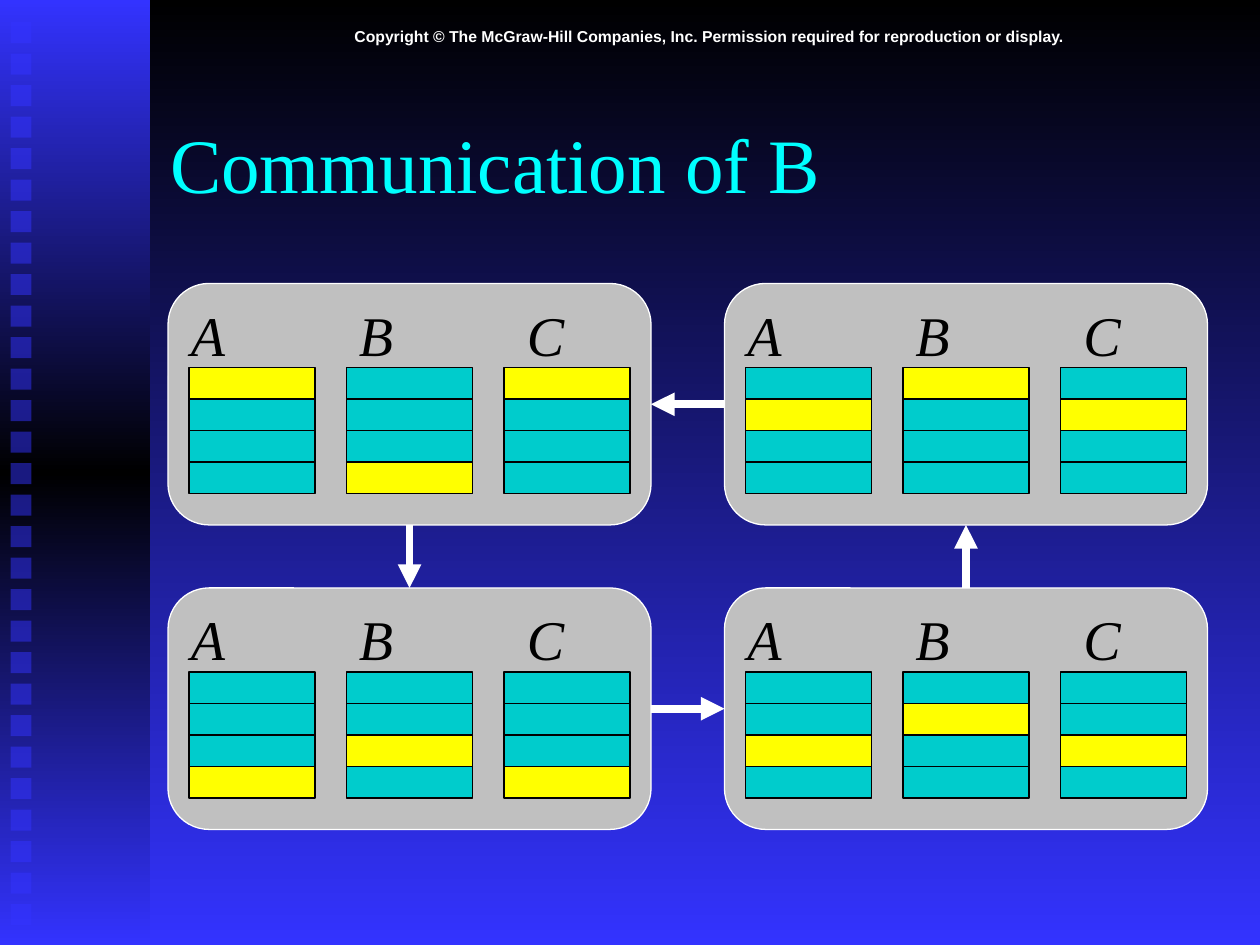
import copy
import dataclasses
import pptx
import pptx.dml.color
import pptx.enum.shapes
import pptx.enum.text
import pptx.oxml.ns
import pptx.util
from lxml import etree

SHAPE = pptx.enum.shapes.MSO_SHAPE
ALIGN = pptx.enum.text.PP_ALIGN
ANCHOR = pptx.enum.text.MSO_ANCHOR
FIT = pptx.enum.text.MSO_AUTO_SIZE

COLS, ROWS = 120, 90
PARTS = 4
RING = [(0, 0), (1, 0), (1, 1), (0, 1)]
SIDES = [(2, 0), (1, 3), (0, 2), (3, 1)]


@dataclasses.dataclass(frozen=True)
class Theme:
    black: str = "000000"
    white: str = "FFFFFF"
    blue: str = "3333FF"
    cyan: str = "00FFFF"
    teal: str = "00CCCC"
    yellow: str = "FFFF00"
    grey: str = "C0C0C0"
    serif: str = "Times New Roman"
    sans: str = "Arial"
    title: float = 44
    label: float = 32
    note: float = 9
    thin: float = 0.75
    thick: float = 4.5


THEME = Theme()


def unit(count):
    return pptx.util.Inches(count * 10 / COLS)


def rgb(code):
    return pptx.dml.color.RGBColor.from_string(code)


def tag(name):
    return pptx.oxml.ns.qn(name)


def put(frame, text, size, color, font=THEME.serif, bold=False,
        italic=False, align=ALIGN.LEFT, anchor=ANCHOR.TOP, wrap=True, fit=FIT.NONE):
    frame.word_wrap = wrap
    frame.auto_size = fit
    frame.vertical_anchor = anchor
    para = frame.paragraphs[0]
    para.alignment = align
    run = para.add_run()
    run.text = text
    run.font.size = pptx.util.Pt(size)
    run.font.name = font
    run.font.color.rgb = rgb(color)
    run.font.bold = bold
    run.font.italic = italic


def blend(fill, colors):
    fill.gradient()
    fill.gradient_angle = 270
    stops = fill.gradient_stops
    first = stops[0]._gs
    for _ in colors[2:]:
        first.addnext(copy.deepcopy(first))
    for rank, (stop, color) in enumerate(zip(fill.gradient_stops, colors)):
        stop.color.rgb = rgb(color)
        stop.position = rank / (len(colors) - 1)


def block(slide, left, top, width, height, fill=None, line=None, kind=SHAPE.RECTANGLE):
    shape = slide.shapes.add_shape(kind, *map(unit, (left, top, width, height)))
    shape.shadow.inherit = False
    if fill:
        shape.fill.solid()
        shape.fill.fore_color.rgb = rgb(fill)
    if line:
        shape.line.color.rgb = rgb(line)
        shape.line.width = pptx.util.Pt(THEME.thin)
    else:
        shape.line.fill.background()
    return shape


def label(slide, text, left, top, width, height, **form):
    box = slide.shapes.add_textbox(*map(unit, (left, top, width, height)))
    put(box.text_frame, text, **form)


def side_band(slide):
    band = block(slide, 0, 0, 14.3, ROWS)
    blend(band.fill, [THEME.blue, THEME.black, THEME.blue])
    for step in range(29):
        dot = block(slide, 1, 2.1 + 3 * step, 2, 2, THEME.blue)
        color = dot.fill._xPr.find(".//" + tag("a:srgbClr"))
        etree.SubElement(color, tag("a:alpha"), val="50000")


def panel(slide, rank, col, row):
    left, top = 16 + 53 * col, 27 + 29 * row
    card = block(slide, left, top, 46, 23, THEME.grey, THEME.white,
                 SHAPE.ROUNDED_RECTANGLE)
    card.adjustments[0] = 0.17
    marks = {"A": rank, "B": (rank - 1) % PARTS, "C": rank}
    for place, (name, mark) in enumerate(marks.items()):
        for part in range(PARTS):
            fill = THEME.yellow if part == mark else THEME.teal
            block(slide, left + 2 + 15 * place, top + 8 + 3 * part, 12, 3,
                  fill, THEME.black)
        label(slide, name, left + 1 + 16 * place, top + 1, 5.7, 7.7,
              size=THEME.label, color=THEME.black, italic=True,
              wrap=False, fit=FIT.SHAPE_TO_FIT_TEXT)
    return card


def arrow(slide, start, end, sides):
    line = slide.shapes.add_connector(
        pptx.enum.shapes.MSO_CONNECTOR.STRAIGHT, 0, 0, 0, 0)
    line.begin_connect(start, sides[0])
    line.end_connect(end, sides[1])
    line.line.color.rgb = rgb(THEME.white)
    line.line.width = pptx.util.Pt(THEME.thick)
    etree.SubElement(line.line._get_or_add_ln(), tag("a:tailEnd"), type="triangle")
    etree.SubElement(line._element.spPr, tag("a:effectLst"))


def heading(slide, text):
    title = slide.shapes.title
    title.left, title.top, title.width, title.height = map(unit, (15, 8, 102, 15))
    put(title.text_frame, text, size=THEME.title, color=THEME.cyan,
        anchor=ANCHOR.MIDDLE)


def main():
    deck = pptx.Presentation()
    deck.slide_width, deck.slide_height = unit(COLS), unit(ROWS)
    slide = deck.slides.add_slide(deck.slide_layouts[5])
    blend(slide.background.fill, [THEME.black, THEME.blue])
    side_band(slide)
    label(slide, "Copyright © The McGraw-Hill Companies, Inc. "
          "Permission required for reproduction or display.",
          15, 2, 105, 3, size=THEME.note, color=THEME.white, font=THEME.sans,
          bold=True, align=ALIGN.CENTER)
    heading(slide, "Communication of B")
    cards = [panel(slide, rank, *spot) for rank, spot in enumerate(RING)]
    for rank, sides in enumerate(SIDES):
        arrow(slide, cards[rank], cards[rank - 1], sides)
    deck.save("out.pptx")


if __name__ == "__main__":
    main()
